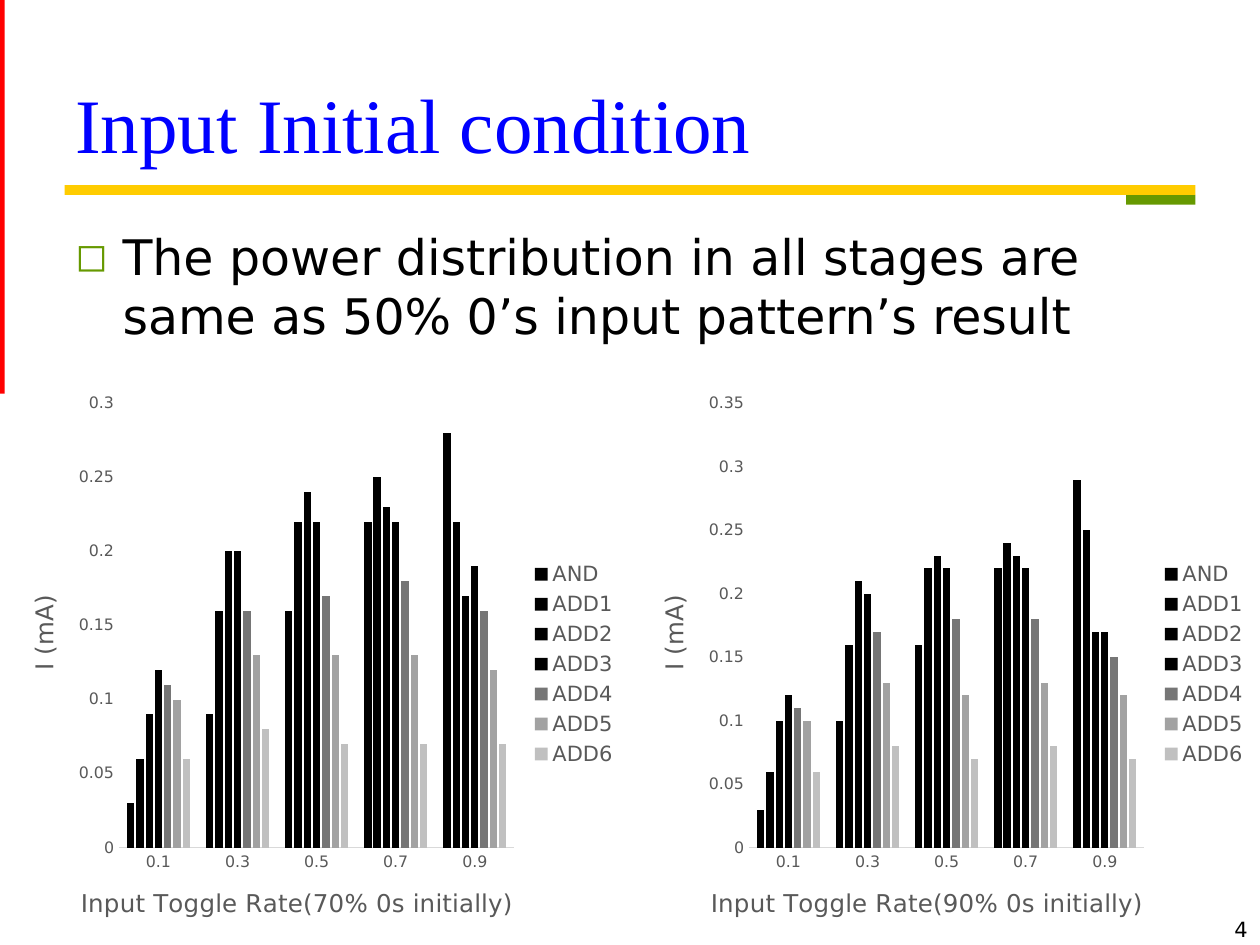
from dataclasses import dataclass

from lxml import etree
from pptx import Presentation
from pptx.chart.data import CategoryChartData
from pptx.dml.color import RGBColor
from pptx.enum.chart import XL_CHART_TYPE, XL_LEGEND_POSITION, XL_TICK_MARK
from pptx.enum.shapes import MSO_SHAPE
from pptx.enum.text import MSO_ANCHOR, PP_ALIGN
from pptx.oxml import parse_xml
from pptx.oxml.ns import nsdecls, qn
from pptx.util import Pt

COLUMNS = XL_CHART_TYPE.COLUMN_CLUSTERED
LEGEND_RIGHT = XL_LEGEND_POSITION.RIGHT
NO_TICK = XL_TICK_MARK.NONE
RECTANGLE = MSO_SHAPE.RECTANGLE
TOP, BOTTOM = MSO_ANCHOR.TOP, MSO_ANCHOR.BOTTOM
LEFT, RIGHT = PP_ALIGN.LEFT, PP_ALIGN.RIGHT


@dataclass(frozen=True)
class Theme:
    body_font: str = "DejaVu Sans"
    title_font: str = "Times New Roman"
    text: str = "000000"
    title: str = "0000FF"
    red: str = "FF0000"
    gold: str = "FFCC00"
    green: str = "669900"
    chart_text: str = "595959"
    axis_line: str = "D9D9D9"
    series: tuple = ("000000",) * 4 + ("767676", "A2A2A2", "C0C0C0")
    title_size: float = 44
    body_size: float = 28
    axis_title_size: float = 14
    small_size: float = 12
    chart_size: float = 10
    tick_size: float = 9


THEME = Theme()
CHART_WIDTH, CHART_HEIGHT = 360, 321
RATES = ("0.1", "0.3", "0.5", "0.7", "0.9")
STAGES = ("AND", "ADD1", "ADD2", "ADD3", "ADD4", "ADD5", "ADD6")
CURRENTS_70 = (
    (0.03, 0.09, 0.16, 0.22, 0.28),
    (0.06, 0.16, 0.22, 0.25, 0.22),
    (0.09, 0.2, 0.24, 0.23, 0.17),
    (0.12, 0.2, 0.22, 0.22, 0.19),
    (0.11, 0.16, 0.17, 0.18, 0.16),
    (0.1, 0.13, 0.13, 0.13, 0.12),
    (0.06, 0.08, 0.07, 0.07, 0.07),
)
CURRENTS_90 = (
    (0.03, 0.1, 0.16, 0.22, 0.29),
    (0.06, 0.16, 0.22, 0.24, 0.25),
    (0.1, 0.21, 0.23, 0.23, 0.17),
    (0.12, 0.2, 0.22, 0.22, 0.17),
    (0.11, 0.17, 0.18, 0.18, 0.15),
    (0.1, 0.13, 0.12, 0.13, 0.12),
    (0.06, 0.08, 0.07, 0.08, 0.07),
)


def style_font(font, size, color, name=THEME.body_font):
    font.size = Pt(size)
    font.name = name
    font.bold = False
    font.color.rgb = RGBColor.from_string(color)


def write_text(frame, text, *, size, color=THEME.text, font=THEME.body_font,
               align=LEFT, line_spacing=1.0, space_before=0):
    paragraph = frame.paragraphs[0]
    paragraph.alignment = align
    paragraph.line_spacing = line_spacing
    paragraph.space_before = Pt(space_before)
    run = paragraph.add_run()
    run.text = text
    style_font(run.font, size, color, font)
    return paragraph


def add_bullet(paragraph, character, color, indent):
    properties = paragraph._p.get_or_add_pPr()
    properties.set("marL", str(Pt(indent)))
    properties.set("indent", str(-Pt(indent)))
    bullet_color = etree.SubElement(properties, qn("a:buClr"))
    etree.SubElement(bullet_color, qn("a:srgbClr"), val=color)
    etree.SubElement(properties, qn("a:buSzPct"), val="80000")
    etree.SubElement(properties, qn("a:buFont"), typeface=THEME.body_font)
    etree.SubElement(properties, qn("a:buChar"), char=character)


def layout_xml(left, top, width=None, height=None):
    """Chart layout from points; a size marks the inner plot area."""
    values = {"x": left / CHART_WIDTH, "y": top / CHART_HEIGHT}
    target = ""
    if width:
        target = '<c:layoutTarget val="inner"/>'
        values.update(w=width / CHART_WIDTH, h=height / CHART_HEIGHT)
    parts = "".join(f'<c:{key} val="{value}"/>' for key, value in values.items())
    return parse_xml(
        f'<c:layout {nsdecls("c")}><c:manualLayout>{target}<c:xMode val="edge"/>'
        f'<c:yMode val="edge"/>{parts}</c:manualLayout></c:layout>')


def remove_layout(element):
    for old_layout in element.findall(qn("c:layout")):
        element.remove(old_layout)


class SlideBuilder:
    def __init__(self, slide, theme):
        self.slide = slide
        self.theme = theme

    def bar(self, left, top, width, height, color):
        shape = self.slide.shapes.add_shape(
            RECTANGLE, Pt(left), Pt(top), Pt(width), Pt(height))
        shape.shadow.inherit = False
        shape.fill.solid()
        shape.fill.fore_color.rgb = RGBColor.from_string(color)
        shape.line.fill.background()

    def text(self, left, top, width, height, text, anchor=TOP, **style):
        box = self.slide.shapes.add_textbox(
            Pt(left), Pt(top), Pt(width), Pt(height))
        box.text_frame.word_wrap = True
        box.text_frame.vertical_anchor = anchor
        return write_text(box.text_frame, text, **style)

    def axis(self, axis, title, left, top):
        theme = self.theme
        axis.has_major_gridlines = False
        axis.major_tick_mark = axis.minor_tick_mark = NO_TICK
        style_font(axis.tick_labels.font, theme.tick_size, theme.chart_text)
        frame = axis.axis_title.text_frame
        write_text(frame, title, size=theme.axis_title_size, color=theme.chart_text)
        element = axis.axis_title._element
        remove_layout(element)
        element.find(qn("c:tx")).addnext(layout_xml(left, top))
        return frame

    def column_chart(self, left, top, currents, title, maximum):
        theme = self.theme
        data = CategoryChartData()
        data.categories = RATES
        for stage, values in zip(STAGES, currents):
            data.add_series(stage, values)
        chart = self.slide.shapes.add_chart(
            COLUMNS, Pt(left), Pt(top), Pt(CHART_WIDTH), Pt(CHART_HEIGHT), data).chart
        chart.has_title = False
        style_font(chart.font, theme.chart_size, theme.text)

        # Columns
        plot = chart.plots[0]
        plot.gap_width, plot.overlap, plot.vary_by_categories = 219, -27, False
        for series, color in zip(plot.series, theme.series):
            series.format.fill.solid()
            series.format.fill.fore_color.rgb = RGBColor.from_string(color)
        plot_area = chart._chartSpace.chart.plotArea
        remove_layout(plot_area)
        plot_area.insert(0, layout_xml(68, 11.5, 226, 254))

        # Axes
        self.axis(chart.category_axis, title, 43.7, 285)
        line = chart.category_axis.format.line
        line.color.rgb = RGBColor.from_string(theme.axis_line)
        line.width = Pt(0.75)
        value_axis = chart.value_axis
        frame = self.axis(value_axis, "I (mA)", 12.8, 118.2)
        body = frame._txBody.find(qn("a:bodyPr"))
        body.set("rot", "-5400000")
        body.set("vert", "horz")
        value_axis.minimum_scale, value_axis.maximum_scale = 0, maximum
        value_axis.major_unit = 0.05
        value_axis.tick_labels.number_format = "General"
        value_axis.tick_labels.number_format_is_linked = False
        value_axis.format.line.fill.background()

        # Legend
        chart.has_legend = True
        chart.legend.position = LEGEND_RIGHT
        chart.legend.include_in_layout = False
        style_font(chart.legend.font, theme.small_size, theme.chart_text)


def main():
    presentation = Presentation()
    presentation.slide_width, presentation.slide_height = Pt(720), Pt(540)
    slide = presentation.slides.add_slide(presentation.slide_layouts[6])
    builder = SlideBuilder(slide, THEME)

    # Decorative bars
    builder.bar(643.5, 111.4, 39.6, 5.6, THEME.green)
    builder.bar(0, 0, 2.7, 225, THEME.red)
    builder.bar(36.9, 105.8, 646.2, 5.6, THEME.gold)

    # Title, statement and slide number
    builder.text(36, 9.6, 648, 90, "Input Initial condition", BOTTOM,
                 size=THEME.title_size, color=THEME.title,
                 font=THEME.title_font, line_spacing=0.8)
    statement = builder.text(
        36, 126, 664, 356,
        "The power distribution in all stages are same as 50% 0’s input pattern’s result",
        size=THEME.body_size, space_before=5.6)
    add_bullet(statement, "◻", THEME.green, 27)
    builder.text(552, 520, 168, 20, "4", size=THEME.small_size, align=RIGHT)

    # Charts side by side
    charts = ((70, CURRENTS_70, 0.3), (90, CURRENTS_90, 0.35))
    for column, (share, currents, maximum) in enumerate(charts):
        builder.column_chart(column * CHART_WIDTH, 219, currents,
                             f"Input Toggle Rate({share}% 0s initially)", maximum)

    presentation.save("out.pptx")


if __name__ == "__main__":
    main()
